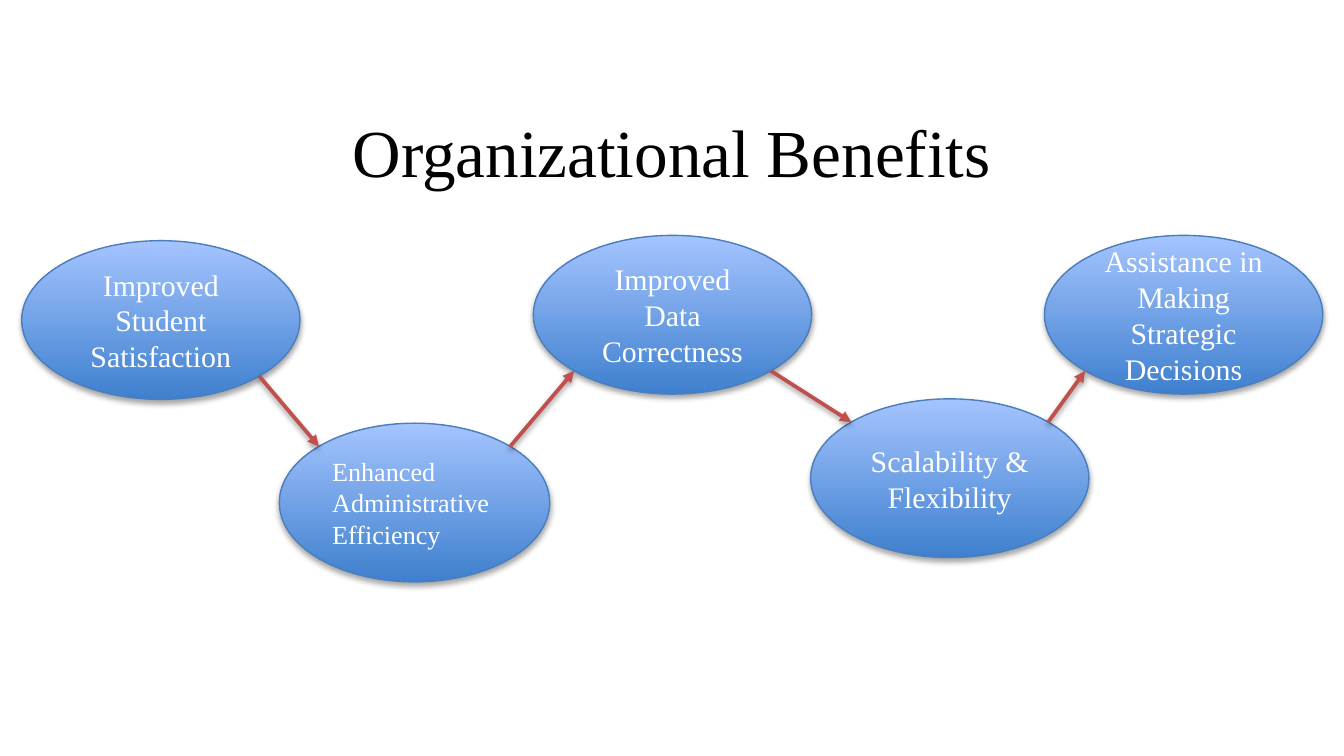
import math

import pptx
import pptx.util
import pptx.oxml
import pptx.oxml.ns
from pptx.dml.color import RGBColor
from pptx.enum.shapes import MSO_CONNECTOR, MSO_SHAPE
from pptx.enum.text import MSO_ANCHOR, PP_ALIGN
from pptx.util import Cm

# Content: text, left, top, width (cm), font size, alignment
TITLE = "Organizational Benefits"
BENEFITS = [
    ("Improved Student Satisfaction", 0.41, 4.55, 5.26, 16, PP_ALIGN.CENTER),
    ("Enhanced Administrative Efficiency", 5.28, 8.0, 5.11, 14, PP_ALIGN.LEFT),
    ("Improved Data Correctness", 10.08, 4.45, 5.26, 16, PP_ALIGN.CENTER),
    ("Scalability & Flexibility", 15.32, 7.54, 5.26, 16, PP_ALIGN.CENTER),
    ("Assistance in Making Strategic Decisions", 19.74, 4.45, 5.26, 16, PP_ALIGN.CENTER),
]
OVAL_HEIGHT = 3.0

FONT = "Times New Roman"
BLACK = RGBColor(0x00, 0x00, 0x00)
WHITE = RGBColor(0xFF, 0xFF, 0xFF)
DARK_BLUE = RGBColor(0x3F, 0x80, 0xCE)
LIGHT_BLUE = RGBColor(0xA4, 0xC4, 0xFF)
OUTLINE_BLUE = RGBColor(0x4B, 0x7E, 0xBC)
ARROW_RED = RGBColor(0xC0, 0x50, 0x4D)


def format_paragraph(paragraph, size, color, alignment):
    paragraph.alignment = alignment
    paragraph.font.name = FONT
    paragraph.font.size = pptx.util.Pt(size)
    paragraph.font.color.rgb = color


def add_shadow(shape, distance, opacity):
    """Give the shape a soft shadow straight below it."""
    shape._element.spPr.append(pptx.oxml.parse_xml(
        f'<a:effectLst {pptx.oxml.ns.nsdecls("a")}>'
        f'<a:outerShdw blurRad="{pptx.util.Pt(3.1)}" dist="{pptx.util.Pt(distance)}" '
        'dir="5400000" rotWithShape="0">'
        f'<a:srgbClr val="000000"><a:alpha val="{opacity * 1000}"/></a:srgbClr>'
        '</a:outerShdw></a:effectLst>'))


def add_oval(slide, text, left, top, width, size, alignment):
    oval = slide.shapes.add_shape(
        MSO_SHAPE.OVAL, Cm(left), Cm(top), Cm(width), Cm(OVAL_HEIGHT))
    oval.fill.gradient()
    oval.fill.gradient_angle = 90
    for stop, color in zip(oval.fill.gradient_stops, (DARK_BLUE, LIGHT_BLUE)):
        stop.color.rgb = color
    oval.line.color.rgb = OUTLINE_BLUE
    oval.line.width = pptx.util.Pt(0.75)
    add_shadow(oval, 1.8, 35)
    frame = oval.text_frame
    frame.word_wrap = True
    frame.vertical_anchor = MSO_ANCHOR.MIDDLE
    frame.text = text
    format_paragraph(frame.paragraphs[0], size, WHITE, alignment)
    return oval


def diagonal_point(oval, x_sign, y_sign):
    """Return the point on the oval's edge at 45 degrees."""
    reach = math.sqrt(0.5)
    return (round(oval.left + oval.width / 2 * (1 + x_sign * reach)),
            round(oval.top + oval.height / 2 * (1 + y_sign * reach)))


def add_arrow(slide, source, target):
    direction = 1 if target.top > source.top else -1
    arrow = slide.shapes.add_connector(
        MSO_CONNECTOR.STRAIGHT,
        *diagonal_point(source, 1, direction),
        *diagonal_point(target, -1, -direction))
    arrow.line.color.rgb = ARROW_RED
    arrow.line.width = pptx.util.Pt(2)
    arrow.line._get_or_add_ln().append(pptx.oxml.parse_xml(
        f'<a:tailEnd {pptx.oxml.ns.nsdecls("a")} type="triangle"/>'))
    add_shadow(arrow, 1.6, 38)


def main():
    presentation = pptx.Presentation()
    presentation.slide_width = Cm(25.4)
    presentation.slide_height = Cm(14.29)
    slide = presentation.slides.add_slide(presentation.slide_layouts[5])

    # Title
    title = slide.shapes.title
    title.left, title.top, title.width, title.height = Cm(1.27), Cm(1.96), Cm(22.86), Cm(1.78)
    title.text_frame.text = TITLE
    title.text_frame.vertical_anchor = MSO_ANCHOR.MIDDLE
    format_paragraph(title.text_frame.paragraphs[0], 36, BLACK, PP_ALIGN.CENTER)

    # Benefits, then an arrow from each to the next
    ovals = [add_oval(slide, *benefit) for benefit in BENEFITS]
    for source, target in zip(ovals, ovals[1:]):
        add_arrow(slide, source, target)

    presentation.save("out.pptx")


if __name__ == "__main__":
    main()
